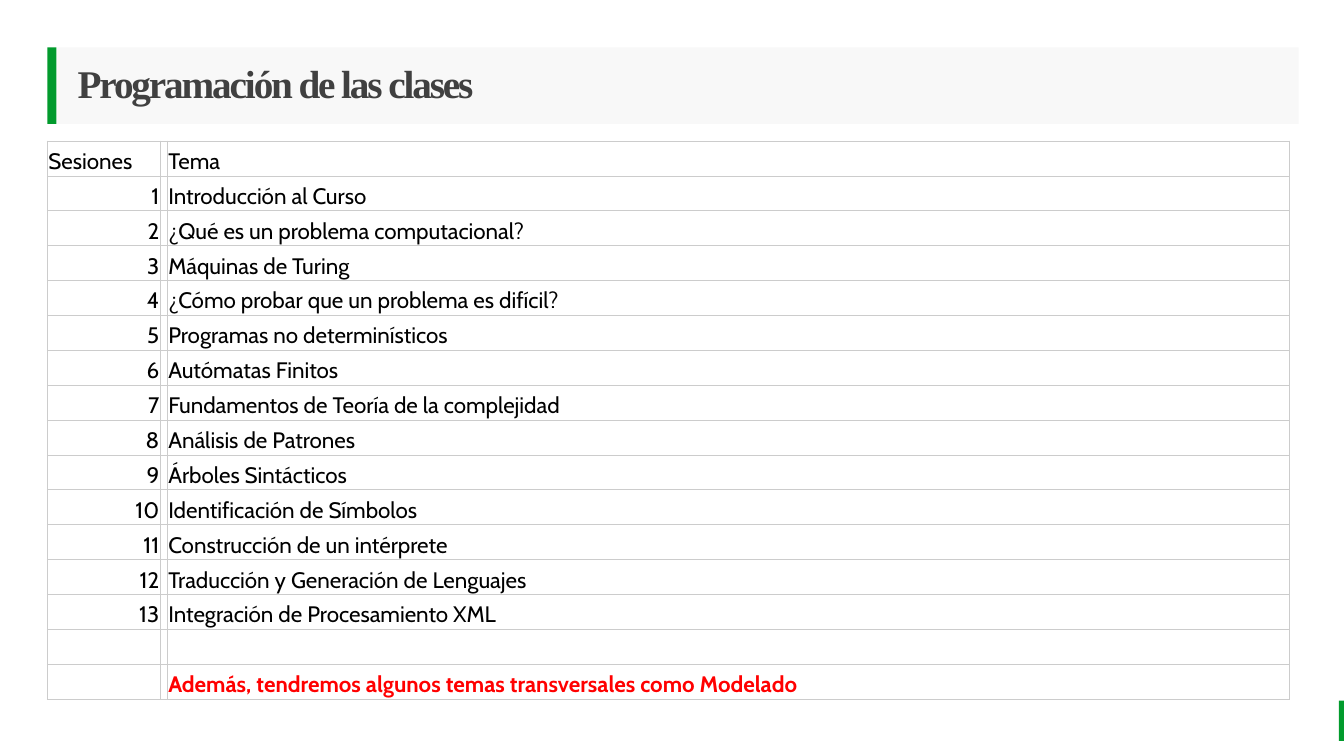
from lxml import etree
from pptx import Presentation
from pptx.dml.color import RGBColor
from pptx.enum import shapes, text
from pptx.oxml import ns
from pptx.util import Inches, Pt

TITLE = "Programación de las clases"
HEADS = ("Sesiones", "Tema")
TOPICS = [
    "Introducción al Curso",
    "¿Qué es un problema computacional?",
    "Máquinas de Turing",
    "¿Cómo probar que un problema es difícil?",
    "Programas no determinísticos",
    "Autómatas Finitos",
    "Fundamentos de Teoría de la complejidad",
    "Análisis de Patrones",
    "Árboles Sintácticos",
    "Identificación de Símbolos",
    "Construcción de un intérprete",
    "Traducción y Generación de Lenguajes",
    "Integración de Procesamiento XML",
]
NOTE = "Además, tendremos algunos temas transversales como Modelado"
GREEN = "029B2D"
BARS = [(13.28, 6.95, 0.05, 0.4), (0.47, 0.47, 0.09, 0.76)]
BANNER = (0.57, 0.47, 12.31, 0.76)
GRID = (0.47, 1.4, 12.31, 5.54)
COLS = (1.12, 0.07, 11.13)


def paint(target, color):
    target.fill.solid()
    target.fill.fore_color.rgb = RGBColor.from_string(color)


def add_run(para, words, face, size, color, bold=False):
    run = para.add_run()
    run.text = words
    font = run.font
    font.name, font.size, font.bold = face, Pt(size), bold
    font.color.rgb = RGBColor.from_string(color)
    return run


def add_edges(cell):
    props = cell._tc.get_or_add_tcPr()
    for spot, side in enumerate(("lnL", "lnR", "lnT", "lnB")):
        line = etree.Element(ns.qn("a:" + side), w=str(Pt(0.75)))
        fill = etree.SubElement(line, ns.qn("a:solidFill"))
        etree.SubElement(fill, ns.qn("a:srgbClr"), val="CCCCCC")
        props.insert(spot, line)


def add_title(slide):
    title = slide.shapes.title
    title.left, title.top, title.width, title.height = map(Inches, BANNER)
    paint(title, "F2F2F2")
    tint = title._element.spPr.find(".//" + ns.qn("a:srgbClr"))
    etree.SubElement(tint, ns.qn("a:alpha"), val="50000")
    frame = title.text_frame
    frame.auto_size = text.MSO_AUTO_SIZE.NONE
    frame.word_wrap = True
    frame.vertical_anchor = text.MSO_ANCHOR.MIDDLE
    frame.margin_left = Inches(0.2)
    frame.margin_right = frame.margin_top = frame.margin_bottom = 0
    para = frame.paragraphs[0]
    para.alignment = text.PP_ALIGN.LEFT
    para.line_spacing = 0.9
    run = add_run(para, TITLE, "Times New Roman", 28, "404040", True)
    run.font._element.set("spc", "-150")


def add_plan(slide):
    rows = [(HEADS[0], "", HEADS[1])]
    rows += [(str(num), "", topic) for num, topic in enumerate(TOPICS, 1)]
    rows += [("", "", ""), ("", "", NOTE)]
    table = slide.shapes.add_table(len(rows), len(COLS), *map(Inches, GRID)).table
    table.first_row = table.horz_banding = False
    for col, width in zip(table.columns, COLS):
        col.width = Inches(width)
    for r, row in enumerate(rows):
        table.rows[r].height = Inches(GRID[3] / len(rows))
        for c, words in enumerate(row):
            cell = table.cell(r, c)
            cell.fill.background()
            cell.margin_left = cell.margin_right = Inches(0.01)
            cell.margin_top = cell.margin_bottom = Inches(0.01)
            cell.vertical_anchor = text.MSO_ANCHOR.BOTTOM
            add_edges(cell)
            para = cell.text_frame.paragraphs[0]
            para.font.size = Pt(16)
            if words.isdigit():
                para.alignment = text.PP_ALIGN.RIGHT
            if words:
                last = words == NOTE
                add_run(para, words, "Cabin", 16, "FF0000" if last else "000000", last)


def main():
    deck = Presentation()
    deck.slide_width, deck.slide_height = Inches(13.33), Inches(7.5)
    slide = deck.slides.add_slide(deck.slide_layouts[5])
    for box in BARS:
        bar = slide.shapes.add_shape(shapes.MSO_SHAPE.RECTANGLE, *map(Inches, box))
        bar.shadow.inherit = False
        paint(bar, GREEN)
        bar.line.fill.background()
    add_plan(slide)
    add_title(slide)
    deck.save("out.pptx")


if __name__ == "__main__":
    main()
